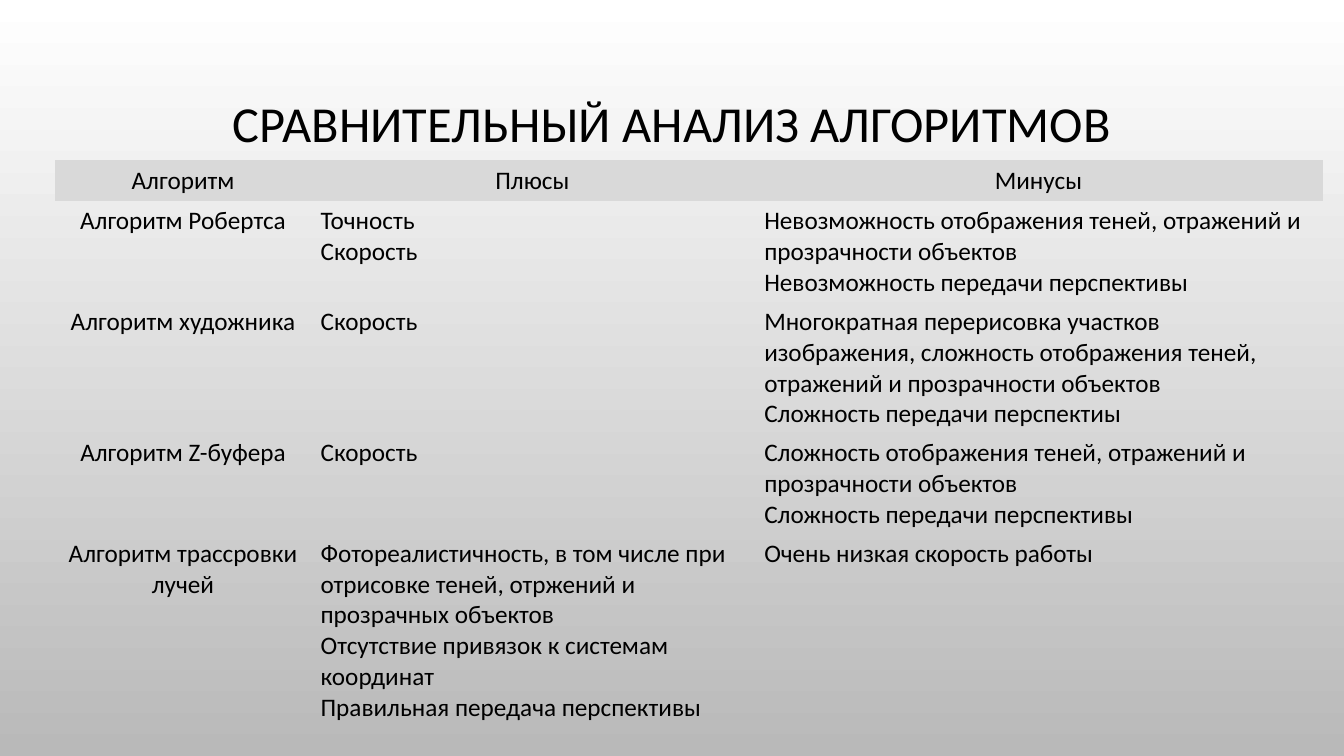
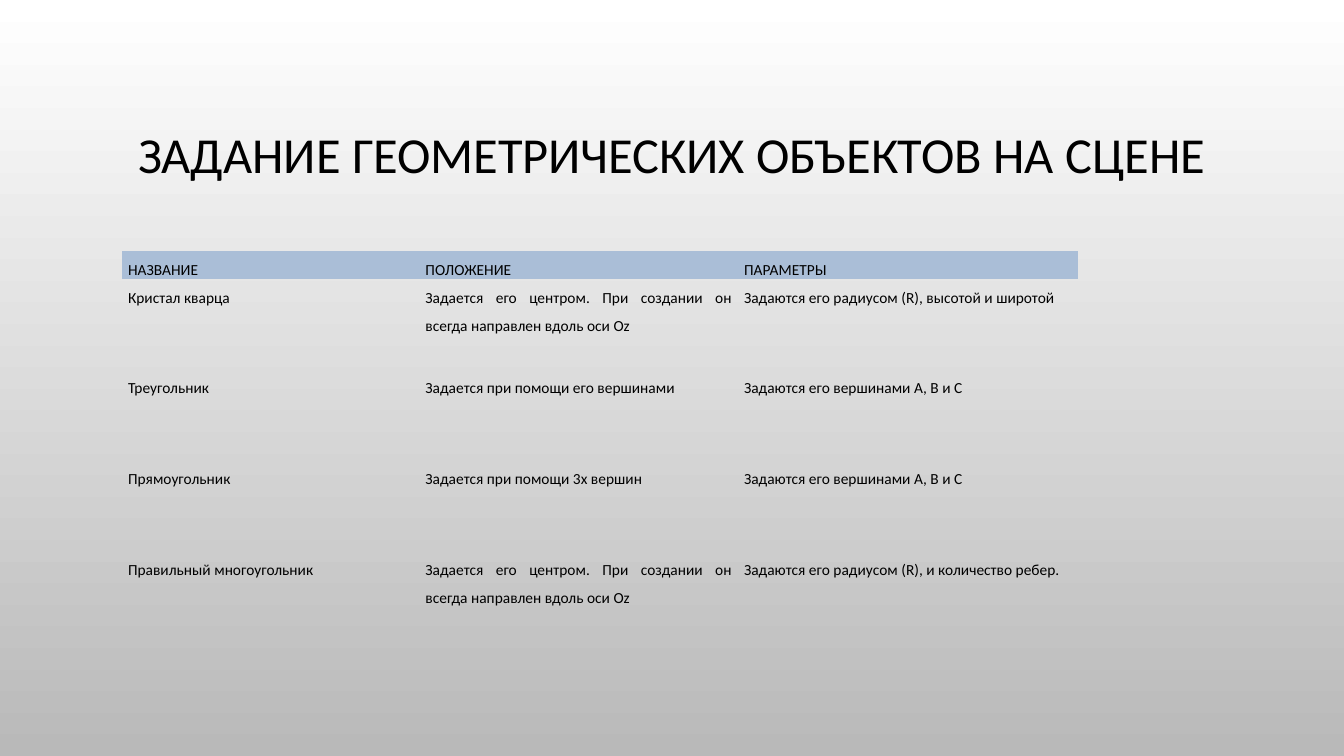
"""Build two slides that compare rendering algorithms and list scene objects."""
from dataclasses import dataclass

from pptx import Presentation
from pptx.dml.color import RGBColor as Color
from pptx.enum.text import MSO_ANCHOR as Anchor, PP_ALIGN as Align
from pptx.oxml.ns import qn
from pptx.slide import Slide
from pptx.text.text import TextFrame
from pptx.util import Inches, Pt

BLACK = Color(0x00, 0x00, 0x00)
WHITE = Color(0xFF, 0xFF, 0xFF)
SHADE = Color(0xB9, 0xB9, 0xB9)
GRAY = Color(0xD9, 0xD9, 0xD9)
BLUE = Color(0xAA, 0xBE, 0xD7)
FONT = "Calibri"
PLAIN = "{2D5ABB26-0587-4C30-8999-92F81FD0307C}"


@dataclass(frozen=True)
class Grid:
    """Layout, format and text of a table."""
    left: float
    top: float
    cols: tuple[float, ...]
    rows: tuple[float, ...]
    cells: tuple[tuple[str, ...], ...]
    band: Color
    size: int
    heads: Align
    names: Align
    body: Align
    space: float = 1.0
    pad: tuple[float, float] = (0.1, 0.05)

    def align(self, row: int, col: int) -> Align:
        """Return the alignment of one cell."""
        if row == 0:
            return self.heads
        return self.body if col else self.names


@dataclass(frozen=True)
class Page:
    """A slide with a title and one table."""
    title: str
    height: float
    grid: Grid


METHODS = Grid(
    left=0.55, top=1.59, cols=(2.53, 4.4, 5.64),
    rows=(0.38, 0.94, 1.22, 0.94, 1.78),
    band=GRAY, size=18,
    heads=Align.CENTER, names=Align.CENTER, body=Align.LEFT,
    cells=(
        ("Алгоритм", "Плюсы", "Минусы"),
        ("Алгоритм Робертса", "Точность\nСкорость",
         "Невозможность отображения теней, отражений и прозрачности объектов\n"
         "Невозможность передачи перспективы"),
        ("Алгоритм художника", "Скорость",
         "Многократная перерисовка участков изображения, сложность "
         "отображения теней, отражений и прозрачности объектов\n"
         "Сложность передачи перспектиы"),
        ("Алгоритм Z-буфера", "Скорость",
         "Сложность отображения теней, отражений и прозрачности объектов\n"
         "Сложность передачи перспективы"),
        ("Алгоритм трассровки лучей",
         "Фотореалистичность, в том числе при отрисовке теней, отржений "
         "и прозрачных объектов\n"
         "Отсутствие привязок к системам координат\n"
         "Правильная передача перспективы",
         "Очень низкая скорость работы"),
    ),
)

CENTER = "Задается его центром. При создании он всегда направлен вдоль оси Oz"
POINTS = "Задаются его вершинами A, B и C"

OBJECTS = Grid(
    left=1.21, top=2.49, cols=(2.95, 3.16, 3.37), rows=(0.23,) + (0.9,) * 4,
    band=BLUE, size=11, space=1.5, pad=(0.06, 0),
    heads=Align.JUSTIFY, names=Align.JUSTIFY, body=Align.JUSTIFY,
    cells=(
        ("НАЗВАНИЕ", "ПОЛОЖЕНИЕ", "ПАРАМЕТРЫ"),
        ("Кристал кварца", CENTER,
         "Задаются его радиусом (R), высотой и широтой"),
        ("Треугольник", "Задается при помощи его вершинами", POINTS),
        ("Прямоугольник", "Задается при помощи 3х вершин", POINTS),
        ("Правильный многоугольник", CENTER,
         "Задаются его радиусом (R), и количество ребер."),
    ),
)

PAGES = (
    Page("СРАВНИТЕЛЬНЫЙ АНАЛИЗ АЛГОРИТМОВ", 1.15, METHODS),
    Page("ЗАДАНИЕ ГЕОМЕТРИЧЕСКИХ ОБЪЕКТОВ НА СЦЕНЕ", 1.75, OBJECTS),
)


def write(frame: TextFrame, text: str, *, size: int, align: Align,
          space: float = 1.0) -> None:
    """Fill a frame with one formatted paragraph per line of text."""
    frame.text = text
    for para in frame.paragraphs:
        para.alignment = align
        para.line_spacing = space
        for run in para.runs:
            run.font.name = FONT
            run.font.size = Pt(size)
            run.font.color.rgb = BLACK


def add_title(slide: Slide, text: str, height: float) -> None:
    """Add the centred slide title."""
    box = slide.shapes.add_textbox(
        Inches(1), Inches(0.68), Inches(11.33), Inches(height))
    frame = box.text_frame
    frame.word_wrap = True
    frame.vertical_anchor = Anchor.MIDDLE
    write(frame, text, size=36, align=Align.CENTER, space=0.9)


def add_grid(slide: Slide, grid: Grid) -> None:
    """Add a plain table with a coloured header band."""
    shape = slide.shapes.add_table(
        len(grid.rows), len(grid.cols), Inches(grid.left), Inches(grid.top),
        Inches(sum(grid.cols)), Inches(sum(grid.rows)))
    next(shape.element.iter(qn("a:tableStyleId"))).text = PLAIN
    table = shape.table
    table.first_row = table.horz_banding = False
    for col, width in zip(table.columns, grid.cols):
        col.width = Inches(width)
    for row, height in zip(table.rows, grid.rows):
        row.height = Inches(height)
    side, edge = map(Inches, grid.pad)
    for y, texts in enumerate(grid.cells):
        for x, text in enumerate(texts):
            cell = table.cell(y, x)
            cell.margin_left = cell.margin_right = side
            cell.margin_top = cell.margin_bottom = edge
            if y == 0:
                cell.fill.solid()
                cell.fill.fore_color.rgb = grid.band
            else:
                cell.fill.background()
            write(cell.text_frame, text, size=grid.size,
                  align=grid.align(y, x), space=grid.space)


def main() -> None:
    """Build and save the deck."""
    deck = Presentation()
    deck.slide_width, deck.slide_height = Inches(13.33), Inches(7.5)
    fill = deck.slide_master.background.fill
    fill.gradient()
    fill.gradient_angle = 270
    for stop, color in zip(fill.gradient_stops, (WHITE, SHADE)):
        stop.color.rgb = color
    for page in PAGES:
        slide = deck.slides.add_slide(deck.slide_layouts[6])
        add_title(slide, page.title, page.height)
        add_grid(slide, page.grid)
    deck.save("out.pptx")


if __name__ == "__main__":
    main()
